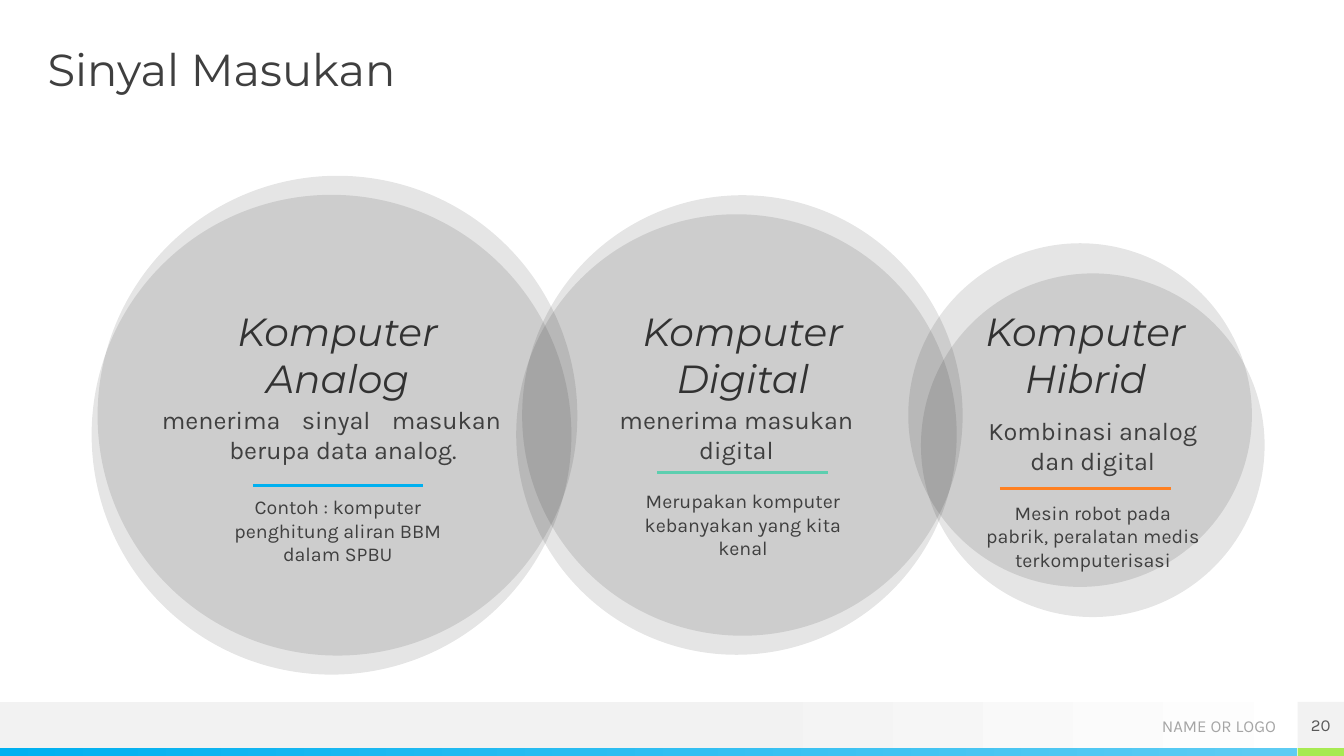
from dataclasses import dataclass

from lxml.etree import SubElement
from pptx import Presentation
from pptx.dml.color import RGBColor
from pptx.enum.shapes import MSO_CONNECTOR, MSO_SHAPE
from pptx.enum.text import MSO_ANCHOR, PP_ALIGN
from pptx.oxml.ns import qn
from pptx.util import Cm, Pt

TITLE_FONT, BODY_FONT = "Montserrat", "Karla"
DARK, PALE = "3F3F3F", "F2F2F2"
SLIDE_WIDTH, SLIDE_HEIGHT = 33.87, 19.05
BAND_TOP, STRIPE_TOP, NUMBER_LEFT = 17.69, 18.85, 32.7
BAND_HEIGHT = STRIPE_TOP - BAND_TOP
STRIPE_HEIGHT = SLIDE_HEIGHT - STRIPE_TOP
NUMBER_WIDTH = SLIDE_WIDTH - NUMBER_LEFT
HEADING_TOP, HEADING_HEIGHT = 6.12, 3.99
RULE_LENGTH = 4.3
EXAMPLE_WIDTH, EXAMPLE_HEIGHT = 5.51, 2.01


@dataclass
class Computer:
    heading: str
    signal: str
    example: str
    accent: str
    heading_left: float
    heading_width: float
    circle: tuple[float, float, float]  # left, top, diameter
    halo_shift: tuple[float, float]  # right, down
    rule: tuple[float, float]  # left, top
    example_at: tuple[float, float]  # left, top
    align: PP_ALIGN = PP_ALIGN.CENTER
    hanging: float = 0


COMPUTERS = [
    Computer("Komputer Analog", "menerima sinyal masukan berupa data analog.",
             "Contoh : komputer penghitung aliran BBM dalam SPBU", "00B0F0",
             4.61, 7.8, (2.31, 4.91, 12.09), (0.15, -0.48),
             (6.37, 12.24), (5.76, 12.48), PP_ALIGN.JUSTIFY, 1.7),
    Computer("Komputer Digital", "menerima masukan digital",
             "Merupakan komputer kebanyakan yang kita kenal", "5DCEAF",
             14.82, 7.8, (13.01, 5.4, 11.1), (0.15, -0.48),
             (16.56, 11.91), (15.97, 12.32)),
    Computer("Komputer Hibrid", "Kombinasi analog dan digital",
             "Mesin robot pada pabrik, peralatan medis terkomputerisasi", "FF8021",
             23.75, 7.21, (23.21, 6.89, 8.66), (-0.32, -0.76),
             (25.2, 12.32), (24.79, 12.62)),
]


def color(value: str) -> RGBColor:
    return RGBColor.from_string(value)


def write(shape, text: str, *, size: float, font: str = BODY_FONT, fill: str = DARK,
          align=PP_ALIGN.CENTER, anchor=MSO_ANCHOR.TOP, italic: bool = False,
          spacing: float = 1.0, hanging: float = 0) -> None:
    frame = shape.text_frame
    frame.word_wrap = True
    frame.vertical_anchor = anchor
    frame.margin_left = frame.margin_right = frame.margin_top = frame.margin_bottom = 0
    paragraph = frame.paragraphs[0]
    paragraph.alignment = align
    paragraph.line_spacing = spacing
    if hanging:
        properties = paragraph._p.get_or_add_pPr()
        properties.set("marL", str(Cm(hanging)))
        properties.set("indent", str(-Cm(hanging)))
    run = paragraph.add_run()
    run.text = text
    run.font.name, run.font.size, run.font.italic = font, Pt(size), italic
    run.font.color.rgb = color(fill)


def add_text(slide, box: tuple, text: str, **text_format) -> None:
    write(slide.shapes.add_textbox(*map(Cm, box)), text, **text_format)


def add_filled(slide, kind, box: tuple, fill: str):
    shape = slide.shapes.add_shape(kind, *map(Cm, box))
    shape.shadow.inherit = False
    shape.line.fill.background()
    shape.fill.solid()
    shape.fill.fore_color.rgb = color(fill)
    return shape


def add_gradient(slide, box: tuple, stops: list[tuple[float, str]]) -> None:
    band = add_filled(slide, MSO_SHAPE.RECTANGLE, box, stops[0][1])
    band.fill.gradient()
    band.fill.gradient_angle = 0
    for stop, (position, value) in zip(band.fill.gradient_stops, stops):
        stop.position = position
        stop.color.rgb = color(value)


def add_disc(slide, left: float, top: float, diameter: float):
    disc = add_filled(slide, MSO_SHAPE.OVAL, (left, top, diameter, diameter), "000000")
    tint = disc._element.spPr.find(qn("a:solidFill")).find(qn("a:srgbClr"))
    SubElement(tint, qn("a:alpha"), val="10000")
    return disc


def add_rule(slide, left: float, top: float, accent: str) -> None:
    rule = slide.shapes.add_connector(MSO_CONNECTOR.STRAIGHT, Cm(left), Cm(top),
                                      Cm(left + RULE_LENGTH), Cm(top))
    rule.line.color.rgb = color(accent)
    rule.line.width = Pt(2.25)
    SubElement(rule._element.spPr, qn("a:effectLst"))


def add_computer(slide, computer: Computer) -> None:
    add_text(slide, (computer.heading_left, HEADING_TOP, computer.heading_width, HEADING_HEIGHT),
             computer.heading, size=28, font=TITLE_FONT, italic=True, anchor=MSO_ANCHOR.BOTTOM)
    left, top, diameter = computer.circle
    right, down = computer.halo_shift
    add_disc(slide, left + right, top + down, diameter)
    write(add_disc(slide, left, top, diameter), computer.signal, size=18, align=computer.align,
          anchor=MSO_ANCHOR.MIDDLE, hanging=computer.hanging)
    add_rule(slide, *computer.rule, computer.accent)
    add_text(slide, (*computer.example_at, EXAMPLE_WIDTH, EXAMPLE_HEIGHT),
             computer.example, size=14)


def add_footer(slide) -> None:
    add_gradient(slide, (0, BAND_TOP, SLIDE_WIDTH, BAND_HEIGHT), [(0.53, PALE), (1, "FFFFFF")])
    add_gradient(slide, (0, STRIPE_TOP, NUMBER_LEFT, STRIPE_HEIGHT),
                 [(0, "00B0F0"), (1, "5ECCF3")])
    add_filled(slide, MSO_SHAPE.RECTANGLE,
               (NUMBER_LEFT, STRIPE_TOP, NUMBER_WIDTH, STRIPE_HEIGHT), "A7EA52")
    add_text(slide, (26.47, BAND_TOP, 5.69, 1.19), "NAME OR LOGO", size=12, fill="A5A5A5",
             align=PP_ALIGN.RIGHT, anchor=MSO_ANCHOR.MIDDLE)
    number = add_filled(slide, MSO_SHAPE.RECTANGLE,
                        (NUMBER_LEFT, BAND_TOP, NUMBER_WIDTH, BAND_HEIGHT), PALE)
    write(number, "20", size=12, fill="595959", anchor=MSO_ANCHOR.MIDDLE)


def main() -> None:
    presentation = Presentation()
    presentation.slide_width, presentation.slide_height = Cm(SLIDE_WIDTH), Cm(SLIDE_HEIGHT)
    slide = presentation.slides.add_slide(presentation.slide_layouts[6])

    # Footer and title
    add_footer(slide)
    add_text(slide, (1.2, 1.2, 31.5, 1.2), "Sinyal Masukan", size=32, font=TITLE_FONT,
             align=PP_ALIGN.LEFT, spacing=0.9)

    # Overlapping circles with halos, one for each kind of computer
    for computer in COMPUTERS:
        add_computer(slide, computer)

    presentation.save("out.pptx")


if __name__ == "__main__":
    main()
